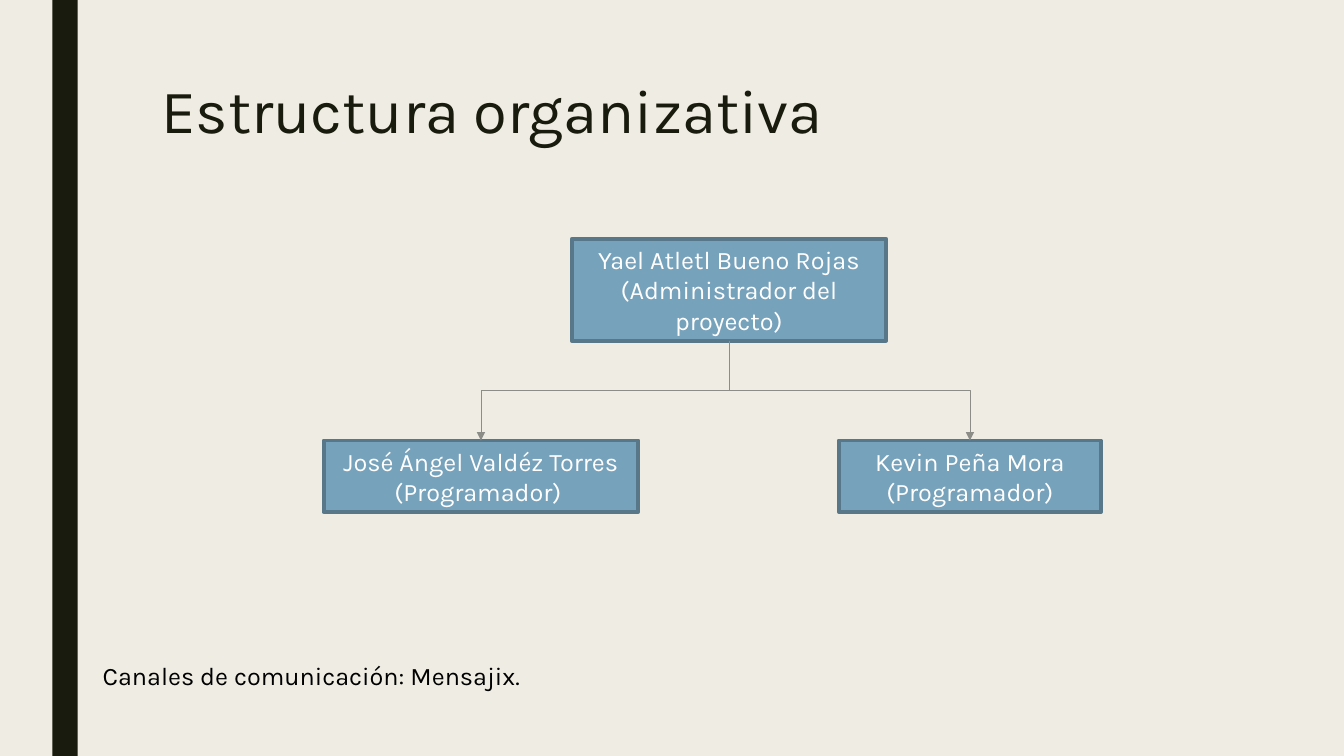
from dataclasses import dataclass

import pptx
import pptx.dml.color
import pptx.enum.shapes
import pptx.enum.text
import pptx.oxml
import pptx.oxml.ns
import pptx.util
from pptx.util import Inches


@dataclass(frozen=True)
class Theme:
    font: str = "Karla"
    background: str = "EFEDE3"
    dark: str = "191B0E"
    box_fill: str = "77A2BB"
    box_line: str = "58788A"
    link: str = "8C8D86"
    white: str = "FFFFFF"
    black: str = "000000"
    title_size: int = 44
    body_size: int = 18


@dataclass(frozen=True)
class Member:
    lines: tuple[str, ...]
    left: float
    top: float
    width: float
    height: float


THEME = Theme()
ALIGN = pptx.enum.text.PP_ALIGN
SHAPES = pptx.enum.shapes.MSO_SHAPE

MANAGER = Member(("Yael Atletl Bueno Rojas", "(Administrador del proyecto)"), 5.67, 2.37, 3.12, 1.01)
PROGRAMMERS = (
    Member(("José Ángel Valdéz Torres", "(Programador) "), 3.21, 4.37, 3.12, 0.71),
    Member(("Kevin Peña Mora", "(Programador)"), 8.32, 4.37, 2.6, 0.71),
)


def rgb(value: str) -> pptx.dml.color.RGBColor:
    return pptx.dml.color.RGBColor.from_string(value)


def write_text(shape, *lines: str, size: int = THEME.body_size, color: str = THEME.black,
               align=ALIGN.LEFT, anchor=pptx.enum.text.MSO_ANCHOR.TOP,
               spacing: float = 1.0, grow: bool = True) -> None:
    frame = shape.text_frame
    frame.word_wrap = True
    frame.vertical_anchor = anchor
    sizing = pptx.enum.text.MSO_AUTO_SIZE
    frame.auto_size = sizing.SHAPE_TO_FIT_TEXT if grow else sizing.NONE
    for index, line in enumerate(lines):
        para = frame.paragraphs[0] if index == 0 else frame.add_paragraph()
        para.alignment = align
        para.line_spacing = spacing
        span = para.add_run()
        span.text = line
        span.font.name = THEME.font
        span.font.size = pptx.util.Pt(size)
        span.font.color.rgb = rgb(color)


def add_rectangle(page, left: float, top: float, width: float, height: float, fill: str):
    box = page.shapes.add_shape(SHAPES.RECTANGLE, Inches(left), Inches(top),
                                Inches(width), Inches(height))
    box.shadow.inherit = False
    box.fill.solid()
    box.fill.fore_color.rgb = rgb(fill)
    box.line.fill.background()
    return box


def add_member(page, member: Member):
    box = add_rectangle(page, member.left, member.top, member.width, member.height,
                        THEME.box_fill)
    box.line.color.rgb = rgb(THEME.box_line)
    box.line.width = pptx.util.Pt(2.75)
    write_text(box, *member.lines, color=THEME.white, align=ALIGN.CENTER,
               anchor=pptx.enum.text.MSO_ANCHOR.MIDDLE)
    return box


def add_link(page, parent, child) -> None:
    """Elbow arrow from the bottom of parent to the top of child."""
    start_x = parent.left + parent.width // 2
    start_y = parent.top + parent.height
    end_x = child.left + child.width // 2
    link = page.shapes.add_connector(pptx.enum.shapes.MSO_CONNECTOR.ELBOW,
                                     start_x, start_y, end_x, child.top)
    link.begin_connect(parent, 2)
    link.end_connect(child, 0)
    link.line.color.rgb = rgb(THEME.link)
    link.line.width = pptx.util.Pt(0.5)

    # A quarter turn makes the elbow leave and arrive vertically
    drop, reach = child.top - start_y, abs(end_x - start_x)
    link.left = (start_x + end_x - drop) // 2
    link.top = (start_y + child.top - reach) // 2
    link.width, link.height = drop, reach
    properties = link._element.spPr
    transform = properties.find(pptx.oxml.ns.qn("a:xfrm"))
    transform.attrib.pop("flipH", None)
    transform.set("rot", str((90 if end_x < start_x else 270) * 60000))
    if end_x > start_x:
        transform.set("flipH", "1")

    namespace = pptx.oxml.ns.nsdecls("a")
    link.line._get_or_add_ln().append(
        pptx.oxml.parse_xml(f'<a:tailEnd {namespace} type="triangle"/>'))
    properties.append(pptx.oxml.parse_xml(f"<a:effectLst {namespace}/>"))


def main() -> None:
    deck = pptx.Presentation()
    deck.slide_width, deck.slide_height = Inches(13.33), Inches(7.5)
    page = deck.slides.add_slide(deck.slide_layouts[5])

    # Background and side bar
    page.background.fill.solid()
    page.background.fill.fore_color.rgb = rgb(THEME.background)
    add_rectangle(page, 0.52, 0, 0.25, 7.5, THEME.dark)

    # Title
    title = page.shapes.title
    title.left, title.top = Inches(1.5), Inches(0.75)
    title.width, title.height = Inches(10.5), Inches(1.62)
    write_text(title, "Estructura organizativa", size=THEME.title_size,
               color=THEME.dark, spacing=0.89, grow=False)

    # Organisation chart
    manager = add_member(page, MANAGER)
    programmers = [add_member(page, member) for member in PROGRAMMERS]
    for programmer in programmers:
        add_link(page, manager, programmer)

    # Communication channels
    channels = page.shapes.add_textbox(Inches(0.92), Inches(6.5), Inches(11.5), Inches(0.4))
    write_text(channels, "Canales de comunicación: Mensajix.")

    deck.save("out.pptx")


if __name__ == "__main__":
    main()
